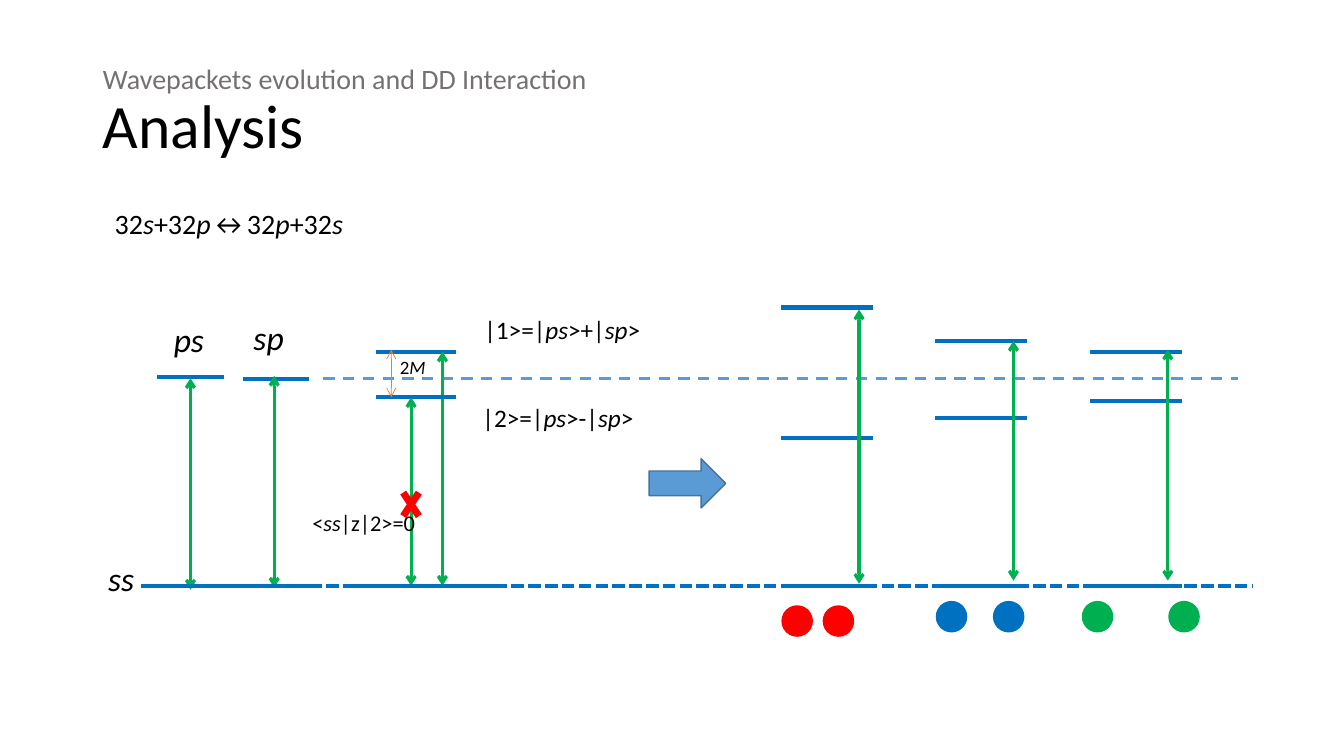
from lxml import etree
from pptx import Presentation
from pptx.dml.color import RGBColor
from pptx.enum import dml, shapes, text
from pptx.oxml import ns
from pptx.util import Cm, Pt

FONT = "Calibri"
BLUE, GREEN, RED = "0070C0", "00B050", "FF0000"


def rgb(value):
    """Return the colour for a hex string."""
    return RGBColor.from_string(value)


def add_runs(p, marked, size, color="000000"):
    """Add runs to a paragraph, with the parts between asterisks in italics."""
    for i, part in enumerate(marked.split("*")):
        if part:
            r = p.add_run()
            r.text = part
            r.font.name, r.font.size = FONT, Pt(size)
            r.font.italic = i % 2 == 1
            r.font.color.rgb = rgb(color)


def add_text(s, marked, x, y, w, h, size=18, wrap=True,
             align=text.PP_ALIGN.CENTER, anchor=text.MSO_ANCHOR.TOP):
    """Add a text box with the given format."""
    tf = s.shapes.add_textbox(Cm(x), Cm(y), Cm(w), Cm(h)).text_frame
    tf.word_wrap, tf.vertical_anchor = wrap, anchor
    tf.auto_size = text.MSO_AUTO_SIZE.SHAPE_TO_FIT_TEXT
    p = tf.paragraphs[0]
    p.alignment = align
    add_runs(p, marked, size)


def add_line(s, x1, y1, x2, y2, color=BLUE, width=3, dash=None, heads=False):
    """Add a straight line, with open arrowheads at both ends if asked."""
    sp = s.shapes.add_connector(
        shapes.MSO_CONNECTOR.STRAIGHT, Cm(x1), Cm(y1), Cm(x2), Cm(y2))
    sp.line.color.rgb, sp.line.width = rgb(color), Pt(width)
    if dash:
        sp.line.dash_style = dash
    if heads:
        ln = sp.line._get_or_add_ln()
        for tag in ("a:headEnd", "a:tailEnd"):
            etree.SubElement(ln, ns.qn(tag), type="arrow")
    etree.SubElement(sp._element.spPr, ns.qn("a:effectLst"))


def add_level(s, x, y, w):
    """Add a horizontal energy level."""
    add_line(s, x, y, x + w, y)


def add_transition(s, x, top, bottom, color=GREEN, width=2.25):
    """Add a vertical double-headed arrow."""
    add_line(s, x, top, x, bottom, color, width, heads=True)


def add_shape(s, kind, x, y, w, h, fill, line=None):
    """Add a filled preset shape."""
    sp = s.shapes.add_shape(kind, Cm(x), Cm(y), Cm(w), Cm(h))
    sp.shadow.inherit = False
    sp.fill.solid()
    sp.fill.fore_color.rgb = rgb(fill)
    if line:
        sp.line.color.rgb, sp.line.width = rgb(line), Pt(1)
    else:
        sp.line.fill.background()


def header(s, x, y, w, h):
    """Fill the title placeholder with the section name and slide title."""
    sp = s.shapes.title
    sp.left, sp.top, sp.width, sp.height = Cm(x), Cm(y), Cm(w), Cm(h)
    tf = sp.text_frame
    tf.word_wrap, tf.auto_size = True, text.MSO_AUTO_SIZE.NONE
    tf.vertical_anchor = text.MSO_ANCHOR.MIDDLE
    p = tf.paragraphs[0]
    p.alignment, p.line_spacing = text.PP_ALIGN.LEFT, 0.9
    add_runs(p, "Wavepackets evolution and DD Interaction", 20, "767171")
    p.add_line_break()
    add_runs(p, "Analysis", 44)


def reference_lines(s, x, y, w, h):
    """Draw the dashed mean level and the dashed ground level."""
    add_line(s, x + 5.91, y + 1.78, x + 28.95, y + 1.78, "5B9BD5", 2,
             dml.MSO_LINE.DASH)
    add_line(s, x + 1.32, y + h, x + w, y + h,
             dash=dml.MSO_LINE.SQUARE_DOT)
    add_text(s, "*ss*", x, y + h - 0.82, 1.63, 1.27, 24)


def uncoupled_levels(s, x, y, w, h):
    """Draw the degenerate ps and sp levels above the ground level."""
    states = [("*ps*", 0.35, 0.15, 0.2, 1.75, 1.04, 1.78, 0.1),
              ("*sp*", 2.36, 0.1, 2.36, 1.8, 3.15, 1.72, 0.05)]
    for name, name_x, name_y, level_x, level_y, arrow_x, top, over in states:
        add_level(s, x + level_x, y + level_y, 1.68)
        add_transition(s, x + arrow_x, y + top, y + h + over)
        add_text(s, name, x + name_x, y + name_y, 1.3, 1.27, 24, wrap=False,
                 anchor=text.MSO_ANCHOR.BOTTOM)
    add_level(s, x, y + h, w)


def coupled_levels(s, x, y, w, h):
    """Draw the split levels with the allowed and forbidden transitions."""
    states = [("|1>=|*ps*>+|*sp*>", 1.11, 0.05, 5.38, 2.41),
              ("|2>=|*ps*>-|*sp*>", 2.26, 2.26, 5.16, 1.62)]
    for name, level_y, name_y, name_w, arrow_x in states:
        add_level(s, x + 0.73, y + level_y, 2.01)
        add_text(s, name, x + 2.74, y + name_y, name_w, 1.02)
        add_transition(s, x + arrow_x, y + level_y, y + h)
    add_transition(s, x + 1.12, y + 1.06, y + 2.26, "ED7D31", 0.5)
    add_text(s, "2*M*", x + 0.76, y + 1.09, 1.8, 0.84, 13.5)
    add_shape(s, shapes.MSO_SHAPE.MATH_MULTIPLY, x + 1.24, y + 4.39,
              0.76, 1.14, RED)
    add_text(s, "<*ss*|z|2>=0", x - 1.15, y + 4.95, 3.15, 0.94, 16, wrap=False)
    add_level(s, x, y + h, w)


def distance_panel(s, x, y, w, h, color, upper, lower, tip, foot, atoms, drop):
    """Draw the split levels for one distance between two atoms."""
    for level_y in (upper, lower, h):
        add_level(s, x, y + level_y, w)
    add_transition(s, x + 1.97, y + tip, y + h - foot)
    for atom_x in atoms:
        add_shape(s, shapes.MSO_SHAPE.FLOWCHART_CONNECTOR, x + atom_x,
                  y + h + drop, 0.76, 0.76, color, color)


def main():
    """Build the slide and save it."""
    prs = Presentation()
    prs.slide_width, prs.slide_height = Cm(33.87), Cm(19.05)
    s = prs.slides.add_slide(prs.slide_layouts[5])
    top, height = 7.75, 7.01
    header(s, 2.34, 1.02, 29.21, 3.68)
    add_text(s, "32*s*+32*p*↔32*p*+32*s*", 2.64, 5.08, 6.32, 1.12, 20,
             wrap=False, align=text.PP_ALIGN.LEFT)
    reference_lines(s, 2.24, top, 29.31, height)
    uncoupled_levels(s, 3.76, top, 4.04, height)
    coupled_levels(s, 8.74, top, 4.04, height)
    add_shape(s, shapes.MSO_SHAPE.RIGHT_ARROW, 16.36, 11.56, 1.93, 1.24,
              "5B9BD5", "43739E")
    panels = [(RED, 0, 3.28, 0.05, 0.05, (0.03, 1.07), 0.51),
              (BLUE, 0.84, 2.79, 0.84, 0.13, (0.03, 1.47), 0.4),
              (GREEN, 1.11, 2.36, 1.06, 0.13, (-0.18, 2), 0.4)]
    for i, panel in enumerate(panels):
        distance_panel(s, 19.68 + 3.89 * i, top, 2.32, height, *panel)
    prs.save("out.pptx")


if __name__ == "__main__":
    main()
